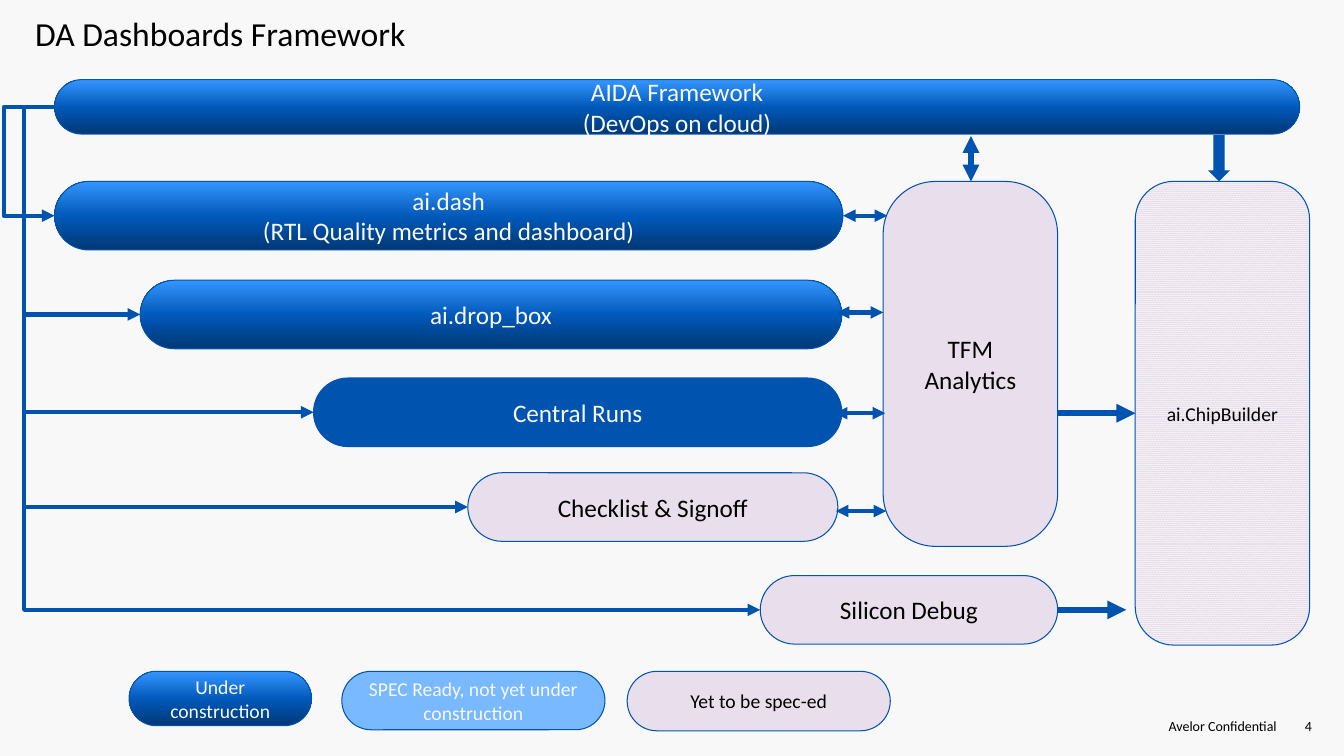
from copy import deepcopy
from lxml import etree
from pptx import Presentation
from pptx.dml.color import RGBColor
from pptx.enum.dml import MSO_PATTERN_TYPE
from pptx.enum.shapes import MSO_CONNECTOR, MSO_SHAPE
from pptx.enum.text import MSO_ANCHOR, PP_ALIGN
from pptx.oxml.ns import qn
from pptx.util import Inches, Pt

PILL = MSO_SHAPE.ROUNDED_RECTANGLE
DOWN = MSO_SHAPE.DOWN_ARROW
LINE = MSO_CONNECTOR.STRAIGHT
ELBOW = MSO_CONNECTOR.ELBOW
DENSE = MSO_PATTERN_TYPE.PERCENT_90
MIDDLE, TOP = MSO_ANCHOR.MIDDLE, MSO_ANCHOR.TOP
LEFT, CENTER, RIGHT = PP_ALIGN.LEFT, PP_ALIGN.CENTER, PP_ALIGN.RIGHT


class Theme:
    font = "Calibri"
    paper = RGBColor.from_string("F8F8F8")
    ink = RGBColor.from_string("000000")
    blue = RGBColor.from_string("0053AE")
    sky = RGBColor.from_string("79B9FF")
    lilac = RGBColor.from_string("E9DFEC")
    fade = [(0, "003875"), (0.48, "0058B8"), (1, "3596FF")]
    title, label, small, foot = Pt(24), Pt(18), Pt(14), Pt(10)
    edge, thin, mid, thick = Pt(0.75), Pt(3), Pt(4), Pt(4.5)


def write(shape, text, size, color, align, anchor=MIDDLE):
    frame = shape.text_frame
    frame.word_wrap = True
    frame.vertical_anchor = anchor
    frame.text = text
    for para in frame.paragraphs:
        para.alignment = align
        for run in para.runs:
            run.font.name = Theme.font
            run.font.size = size
            run.font.color.rgb = color


def draw(link, width, ends):
    link.line.color.rgb = Theme.blue
    link.line.width = width
    stroke = link.line._get_or_add_ln()
    for end in ends:
        etree.SubElement(stroke, qn("a:" + end), type="triangle")
    etree.SubElement(link._element.spPr, qn("a:effectLst"))


deck = Presentation()
deck.slide_width, deck.slide_height = Inches(13.33), Inches(7.5)
slide = deck.slides.add_slide(deck.slide_layouts[6])
slide.background.fill.solid()
slide.background.fill.fore_color.rgb = Theme.paper
shapes = slide.shapes

captions = [
    ("DA Dashboards Framework", 0.25, 0.12, 12, 0.65, Theme.title, LEFT, TOP),
    ("Avelor Confidential", 11.19, 7, 1.57, 0.41, Theme.foot, RIGHT, MIDDLE),
    ("4", 12.67, 6.99, 0.44, 0.42, Theme.foot, RIGHT, MIDDLE),
]
for text, x, y, w, h, size, align, anchor in captions:
    box = shapes.add_textbox(Inches(x), Inches(y), Inches(w), Inches(h))
    write(box, text, size, Theme.ink, align, anchor)
    if size == Theme.title:
        box.text_frame.paragraphs[0].line_spacing = 0.9

blocks = [
    ("AIDA Framework\n(DevOps on cloud)", 0.54, 0.79, 12.35, 0.54, 0.5, "fade", Theme.label),
    ("ai.dash\n(RTL Quality metrics and dashboard)", 0.54, 1.8, 7.82, 0.68, 0.5, "fade", Theme.label),
    ("ai.drop_box", 1.39, 2.78, 6.96, 0.68, 0.5, "fade", Theme.label),
    ("Central Runs", 3.11, 3.75, 5.24, 0.68, 0.5, Theme.blue, Theme.label),
    ("Checklist & Signoff", 4.64, 4.69, 3.67, 0.68, 0.5, Theme.lilac, Theme.label),
    ("Silicon Debug", 7.54, 5.71, 2.95, 0.68, 0.5, Theme.lilac, Theme.label),
    ("TFM\nAnalytics", 8.76, 1.8, 1.73, 3.62, 0.3, Theme.lilac, Theme.label),
    ("ai.ChipBuilder", 11.26, 1.8, 1.73, 4.6, 0.22, "dots", Theme.small),
    ("Under\nconstruction", 1.28, 6.66, 1.81, 0.54, 0.5, "fade", Theme.small),
    ("SPEC Ready, not yet under construction", 3.39, 6.66, 2.61, 0.58, 0.5, Theme.sky, Theme.small),
    ("Yet to be spec-ed", 6.22, 6.66, 2.61, 0.59, 0.5, Theme.lilac, Theme.small),
]
made = []
for text, x, y, w, h, round_by, paint, size in blocks:
    block = shapes.add_shape(PILL, Inches(x), Inches(y), Inches(w), Inches(h))
    block.adjustments[0] = round_by
    block.shadow.inherit = False
    block.line.color.rgb = Theme.blue
    block.line.width = Theme.edge
    fill = block.fill
    if paint == "fade":
        fill.gradient()
        fill.gradient_angle = 90
        stops = block._element.spPr.find(".//" + qn("a:gsLst"))
        stops.append(deepcopy(stops[0]))
        for stop, (place, shade) in zip(fill.gradient_stops, Theme.fade):
            stop.position = place
            stop.color.rgb = RGBColor.from_string(shade)
    elif paint == "dots":
        fill.patterned()
        fill.pattern = DENSE
        fill.fore_color.rgb = Theme.lilac
        fill.back_color.rgb = Theme.paper
    else:
        fill.solid()
        fill.fore_color.rgb = paint
    color = Theme.ink if paint in (Theme.lilac, "dots") else Theme.paper
    write(block, text, size, color, CENTER)
    made.append(block)

head = made[0]
trunk = Inches(0.24)
for block in made[2:6]:
    link = shapes.add_connector(ELBOW, 0, 0, Inches(1), Inches(1))
    link.begin_connect(head, 1)
    link.end_connect(block, 1)
    bend = round((trunk - head.left) / link.width * 100000)
    guides = link._element.spPr.find(".//" + qn("a:avLst"))
    if guides is None:
        guides = etree.SubElement(link._element.spPr.find(qn("a:prstGeom")), qn("a:avLst"))
    etree.SubElement(guides, qn("a:gd"), name="adj1", fmla=f"val {bend}")
    frame = link._element.spPr.find(qn("a:xfrm"))
    for key, value in (("rot", "10800000"), ("flipH", "1"), ("flipV", "1")):
        frame.set(key, value)
    draw(link, Theme.thin, ["tailEnd"])

path = shapes.build_freeform(Inches(0.54), Inches(1.06))
turns = [(0.04, 1.06), (0.04, 2.14), (0.54, 2.14)]
path.add_line_segments([(Inches(x), Inches(y)) for x, y in turns], close=False)
loop = path.convert_to_shape()
loop.fill.background()
draw(loop, Theme.thin, ["tailEnd"])

both, last = ["headEnd", "tailEnd"], ["tailEnd"]
arrows = [
    (8.36, 2.14, 8.8, 2.14, Theme.thin, both),
    (8.3, 3.1, 8.76, 3.1, Theme.thin, both),
    (8.28, 4.1, 8.78, 4.1, Theme.thin, both),
    (8.29, 5.07, 8.79, 5.07, Theme.thin, both),
    (9.63, 1.35, 9.63, 1.8, Theme.mid, both),
    (10.49, 4.1, 11.26, 4.1, Theme.thick, last),
    (10.49, 6.05, 11.17, 6.05, Theme.thick, last),
]
for x1, y1, x2, y2, width, ends in arrows:
    link = shapes.add_connector(LINE, Inches(x1), Inches(y1), Inches(x2), Inches(y2))
    draw(link, width, ends)

drop = shapes.add_shape(DOWN, Inches(11.98), Inches(1.34), Inches(0.22), Inches(0.46))
drop.shadow.inherit = False
drop.fill.solid()
drop.fill.fore_color.rgb = Theme.blue
drop.line.fill.background()

deck.save("out.pptx")
